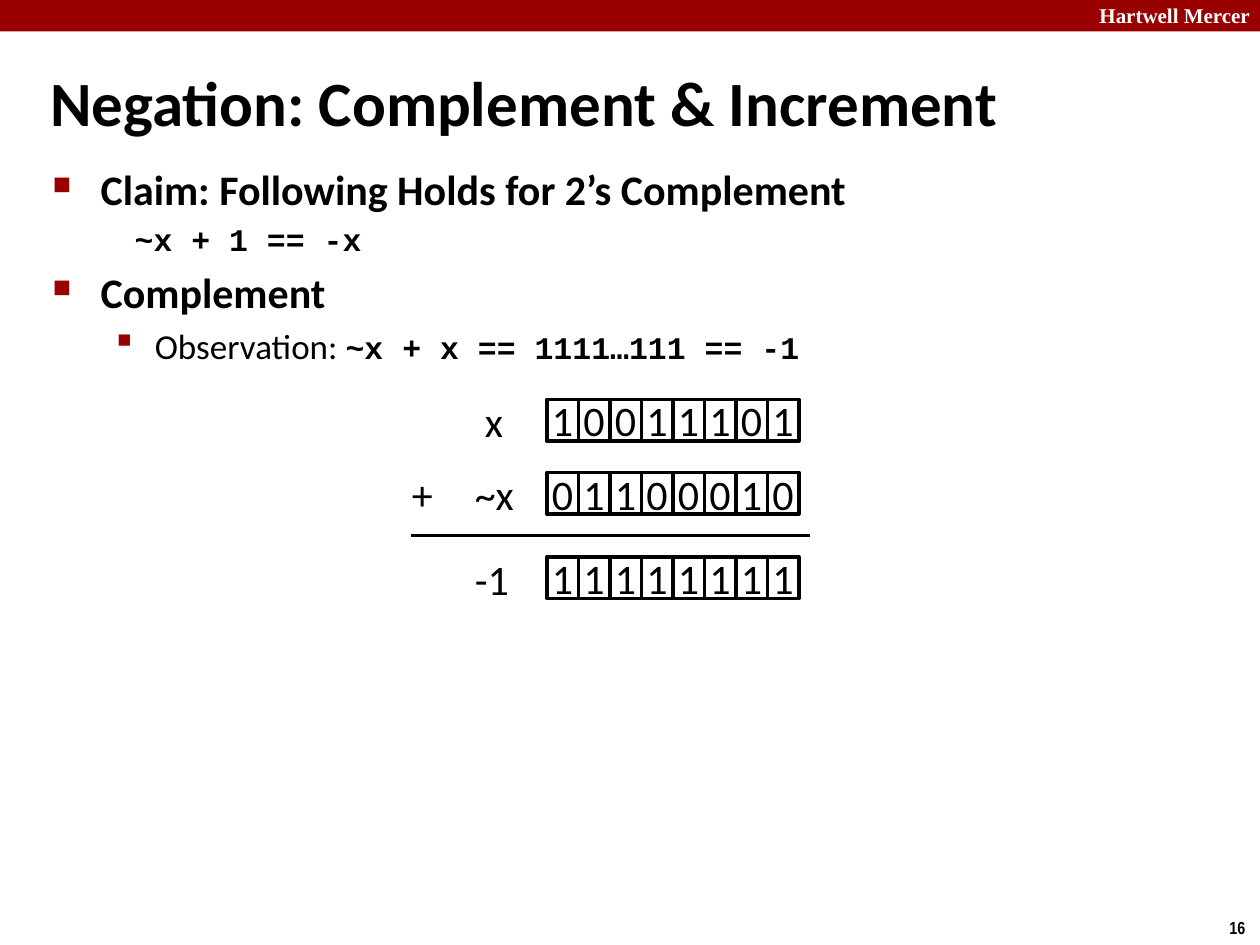
"""Builds a slide on negation by complement and increment."""
from lxml import etree
from pptx import Presentation
from pptx.dml.color import RGBColor
from pptx.enum.shapes import MSO_CONNECTOR, MSO_SHAPE
from pptx.enum.text import MSO_ANCHOR, MSO_AUTO_SIZE, PP_ALIGN
from pptx.oxml.ns import qn
from pptx.util import Inches, Pt

RECTANGLE, STRAIGHT = MSO_SHAPE.RECTANGLE, MSO_CONNECTOR.STRAIGHT
TOP, MIDDLE = MSO_ANCHOR.TOP, MSO_ANCHOR.MIDDLE
LEFT, CENTER, RIGHT = PP_ALIGN.LEFT, PP_ALIGN.CENTER, PP_ALIGN.RIGHT
NO_AUTOFIT = MSO_AUTO_SIZE.NONE

BLACK, WHITE, RED = "000000", "FFFFFF", "990000"
WIDTH, HEIGHT = 10, 7.5
BAR_HEIGHT = 0.25

TITLE = "Negation: Complement & Increment"
HEADER = "Hartwell Mercer"
PAGE = "16"

HEADING = {"name": "Calibri", "size": 24, "bold": True}
PLAIN = {"name": "Calibri", "size": 20, "bold": False}
CODE = {"name": "Courier New", "size": 18, "bold": True}
DIGIT = {"name": "Calibri", "size": 24, "bold": False}

BULLET_FONT = "Wingdings"
OUTER = {"level": 0, "margin": 0.38, "indent": -0.38, "bullet": ("n", 60)}
INNER = {"level": 1, "margin": 0.81, "indent": -0.31, "bullet": ("§", 110)}
FORMULA = {"level": 1, "margin": 0.81, "indent": -0.16, "bullet": None}
BODY = [
    (OUTER, [("Claim: Following Holds for 2’s Complement", HEADING)]),
    (FORMULA, [("~x + 1 == -x", CODE)]),
    (OUTER, [("Complement", HEADING)]),
    (INNER, [("Observation: ", PLAIN), ("~x + x == 1111…111 == -1", CODE)]),
]

BIT_LEFT, BIT_WIDTH, BIT_HEIGHT = 4.34, 0.25, 0.33
BIT_ORDER = (0, 1, 2, 5, 6, 7, 3, 4)
LABEL_RISE, LABEL_WIDTH, LABEL_HEIGHT = 0.08, 0.6, 0.51
SUM_ROWS = [
    (3.17, "10011101", [("x", 3.75)]),
    (3.75, "01100010", [("~x", 3.67), ("+", 3.17)]),
    (4.42, "11111111", [("-1", 3.67)]),
]
SUM_LINE = (3.26, 6.43, 4.25)


def color(value):
    return RGBColor.from_string(value)


def add_run(paragraph, text, style, font_color=BLACK):
    run = paragraph.add_run()
    run.text = text
    for name, value in {**style, "size": Pt(style["size"])}.items():
        setattr(run.font, name, value)
    run.font.color.rgb = color(font_color)


def set_frame(shape, **settings):
    frame = shape.text_frame
    for name, value in {"word_wrap": True, "auto_size": NO_AUTOFIT, **settings}.items():
        setattr(frame, name, value)
    return frame


def add_text(slide, box, text, style, font_color=BLACK, align=LEFT, anchor=TOP):
    shape = slide.shapes.add_textbox(*map(Inches, box))
    paragraph = set_frame(shape, vertical_anchor=anchor).paragraphs[0]
    paragraph.alignment = align
    add_run(paragraph, text, style, font_color)


def add_rectangle(slide, box, fill, line=None):
    shape = slide.shapes.add_shape(RECTANGLE, *map(Inches, box))
    shape.shadow.inherit = False
    shape.fill.solid()
    shape.fill.fore_color.rgb = color(fill)
    if line:
        shape.line.color.rgb = color(line)
        shape.line.width = Pt(2)
    else:
        shape.line.fill.background()
    return shape


def set_outline(paragraph, outline):
    paragraph.level = outline["level"]
    properties = paragraph._p.get_or_add_pPr()
    properties.set("marL", str(Inches(outline["margin"])))
    properties.set("indent", str(Inches(outline["indent"])))
    if outline["bullet"]:
        character, percent = outline["bullet"]
        bullet_color = etree.SubElement(properties, qn("a:buClr"))
        etree.SubElement(bullet_color, qn("a:srgbClr"), val=RED)
        etree.SubElement(properties, qn("a:buSzPct"), val=str(percent * 1000))
        etree.SubElement(properties, qn("a:buFont"), typeface=BULLET_FONT, charset="2")
        etree.SubElement(properties, qn("a:buChar"), char=character)
    else:
        etree.SubElement(properties, qn("a:buNone"))


def add_header(slide):
    add_rectangle(slide, (0, 0, WIDTH, BAR_HEIGHT), RED)
    header_style = {"name": "Times New Roman", "size": 12, "bold": True}
    add_text(slide, (8.02, -0.03, 2, 0.3), HEADER, header_style, WHITE, RIGHT)
    page_style = {"name": "Arial Narrow", "size": 10, "bold": True}
    add_text(slide, (9.66, 7.23, 0.34, 0.27), PAGE, page_style)


def add_title(slide):
    title = slide.shapes.title
    title.left, title.top, title.width, title.height = map(Inches, (0.3, 0.5, 9.7, 0.61))
    paragraph = set_frame(title, vertical_anchor=MIDDLE).paragraphs[0]
    paragraph.alignment = LEFT
    add_run(paragraph, TITLE, {"name": "Calibri", "size": 36, "bold": True})


def add_body(slide):
    shape = slide.shapes.add_textbox(*map(Inches, (0.32, 1.25, 8.59, 5.71)))
    frame = set_frame(shape)
    for index, (outline, runs) in enumerate(BODY):
        paragraph = frame.add_paragraph() if index else frame.paragraphs[0]
        paragraph.space_before = Pt(0.2 * runs[0][1]["size"])
        set_outline(paragraph, outline)
        for text, style in runs:
            add_run(paragraph, text, style)


def add_sum(slide):
    for top, bits, labels in SUM_ROWS:
        for column in BIT_ORDER:
            box = (BIT_LEFT + column * BIT_WIDTH, top, BIT_WIDTH, BIT_HEIGHT)
            cell = add_rectangle(slide, box, WHITE, BLACK)
            frame = set_frame(cell, word_wrap=False, vertical_anchor=MIDDLE)
            frame.paragraphs[0].alignment = CENTER
            add_run(frame.paragraphs[0], bits[column], DIGIT)
        for text, left in labels:
            box = (left, top - LABEL_RISE, LABEL_WIDTH, LABEL_HEIGHT)
            add_text(slide, box, text, DIGIT)
    start, end, height = SUM_LINE
    line = slide.shapes.add_connector(STRAIGHT, *map(Inches, (start, height, end, height)))
    line.line.color.rgb = color(BLACK)
    line.line.width = Pt(2)
    etree.SubElement(line._element.spPr, qn("a:effectLst"))


def main():
    presentation = Presentation()
    presentation.slide_width, presentation.slide_height = Inches(WIDTH), Inches(HEIGHT)
    slide = presentation.slides.add_slide(presentation.slide_layouts[5])
    add_header(slide)
    add_title(slide)
    add_body(slide)
    add_sum(slide)
    presentation.save("out.pptx")


if __name__ == "__main__":
    main()
